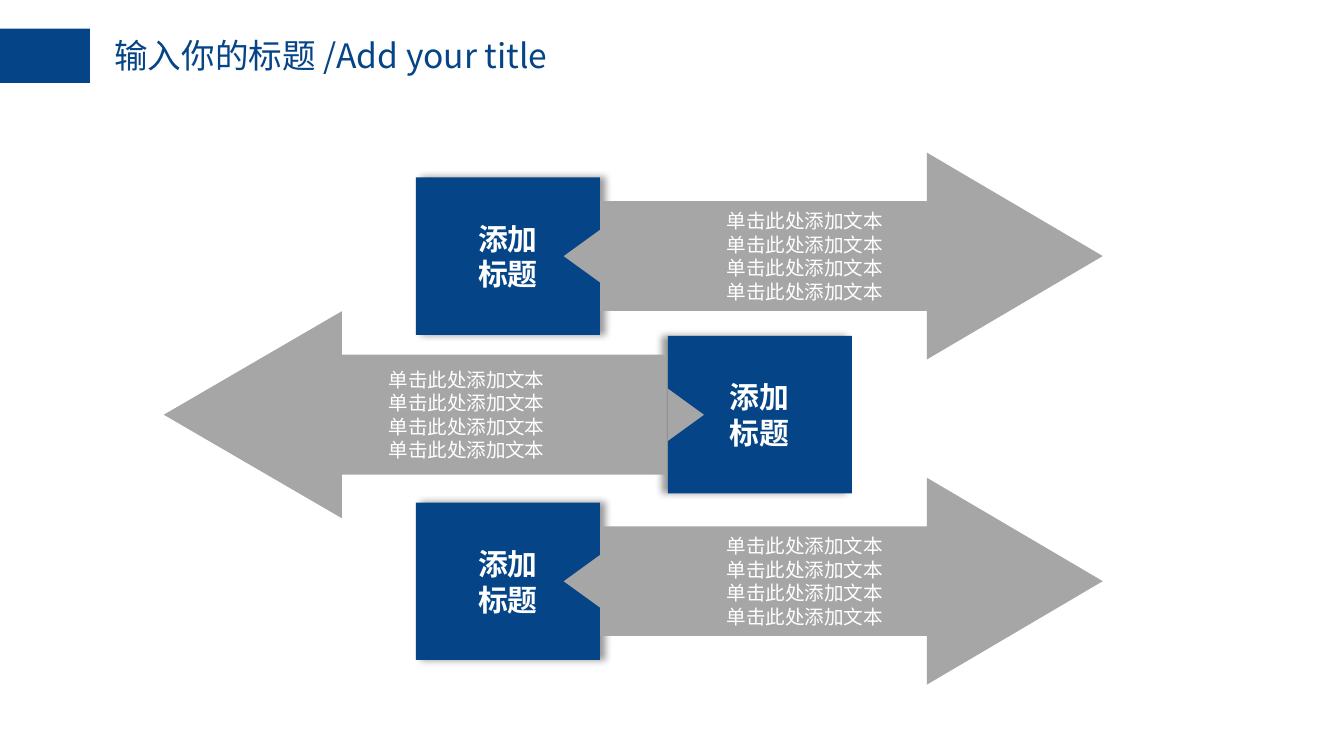
"""Build a slide of three titled blocks with alternating arrows."""
from dataclasses import dataclass

from lxml.etree import SubElement
from pptx import Presentation
from pptx.dml.color import RGBColor
from pptx.enum.shapes import MSO_SHAPE
from pptx.enum.text import MSO_ANCHOR, MSO_AUTO_SIZE, PP_ALIGN
from pptx.oxml.ns import qn
from pptx.shapes.autoshape import Shape
from pptx.slide import Slide
from pptx.text.text import Font
from pptx.util import Pt

BLUE, GRAY, WHITE = "054487", "A6A6A6", "FFFFFF"
SANS = "Noto Sans CJK SC"
BOX_W, BOX_H = 98.6, 84.4
ARROW_W, ARROW_H = 269.3, 110.9
NOTCH_W, NOTCH_H = 28.1, 19.4
HEAD = ["添加", "标题"]
BODY = ["单击此处添加文本"] * 4


@dataclass
class Row:
    box: float
    arrow: float
    mid: float
    shaft: float
    tip: float
    left: bool = False


ROWS = [
    Row(222.8, 321.5, 137.2, 0.53, 0.85),
    Row(357.8, 87.8, 222.2, 0.58, 0.86, True),
    Row(222.8, 321.5, 311.4, 0.53, 0.85),
]


def color(code: str) -> RGBColor:
    """Turn a hex string into a colour."""
    return RGBColor.from_string(code)


def style(font: Font, name: str, size: float, code: str, bold: bool = False) -> None:
    """Set the look of a font."""
    font.name, font.size, font.bold = name, Pt(size), bold
    font.color.rgb = color(code)


def draw(slide: Slide, kind: MSO_SHAPE, x: float, y: float, w: float, h: float,
         code: str, flip: bool = False) -> Shape:
    """Add a plain filled shape."""
    shape = slide.shapes.add_shape(kind, Pt(x), Pt(y), Pt(w), Pt(h))
    shape.shadow.inherit = False
    shape.fill.solid()
    shape.fill.fore_color.rgb = color(code)
    shape.line.fill.background()
    if flip:
        shape._element.spPr.get_or_add_xfrm().set("flipH", "1")
    return shape


def write(shape: Shape, lines: list[str], size: float, bold: bool = False) -> None:
    """Fill a shape with centred white lines."""
    frame = shape.text_frame
    frame.word_wrap = True
    frame.vertical_anchor = MSO_ANCHOR.MIDDLE
    for i, line in enumerate(lines):
        para = frame.add_paragraph() if i else frame.paragraphs[0]
        para.alignment = PP_ALIGN.CENTER
        run = para.add_run()
        run.text = line
        style(run.font, "Calibri", size, WHITE, bold)


def shade(shape: Shape, angle: int) -> None:
    """Give a shape a soft outer shadow."""
    effects = shape._element.spPr.find(qn("a:effectLst"))
    outer = SubElement(effects, qn("a:outerShdw"), blurRad=str(Pt(4)),
                       dist=str(Pt(3)), dir=str(angle * 60000),
                       algn="ctr", rotWithShape="0")
    black = SubElement(outer, qn("a:srgbClr"), val="000000")
    SubElement(black, qn("a:alpha"), val="40000")


def draw_row(slide: Slide, row: Row) -> None:
    """Draw one block with its arrow and notch."""
    box = draw(slide, MSO_SHAPE.RECTANGLE, row.box, row.mid - BOX_H / 2,
               BOX_W, BOX_H, BLUE, row.left)
    shade(box, 180 if row.left else 0)
    write(box, HEAD, 16, True)

    arrow = draw(slide, MSO_SHAPE.RIGHT_ARROW, row.arrow, row.mid - ARROW_H / 2,
                 ARROW_W, ARROW_H, GRAY, row.left)
    arrow.adjustments[0], arrow.adjustments[1] = row.shaft, row.tip
    write(arrow, BODY, 10.5)

    edge = row.box if row.left else row.box + BOX_W
    center = edge + (NOTCH_H if row.left else -NOTCH_H) / 2
    notch = draw(slide, MSO_SHAPE.ISOSCELES_TRIANGLE, center - NOTCH_W / 2,
                 row.mid - NOTCH_H / 2, NOTCH_W, NOTCH_H, GRAY, row.left)
    notch.rotation = 90 if row.left else 270


def draw_title(slide: Slide) -> None:
    """Draw the blue tab and place the title."""
    draw(slide, MSO_SHAPE.RECTANGLE, 0, 15.3, 48.2, 29.1, BLUE)
    title = slide.shapes.title
    title.left, title.top, title.width, title.height = Pt(54), Pt(15.3), Pt(300), Pt(51)
    frame = title.text_frame
    frame.word_wrap = True
    frame.auto_size = MSO_AUTO_SIZE.NONE
    frame.vertical_anchor = MSO_ANCHOR.TOP
    para = frame.paragraphs[0]
    para.alignment = PP_ALIGN.LEFT
    run = para.add_run()
    run.text = "输入你的标题 /Add your title"
    style(run.font, SANS, 18, BLUE)


def main() -> None:
    """Build and save the deck."""
    deck = Presentation()
    deck.slide_width, deck.slide_height = Pt(720), Pt(405)
    slide = deck.slides.add_slide(deck.slide_layouts[5])
    draw_title(slide)
    for row in ROWS:
        draw_row(slide, row)
    deck.save("out.pptx")


if __name__ == "__main__":
    main()
